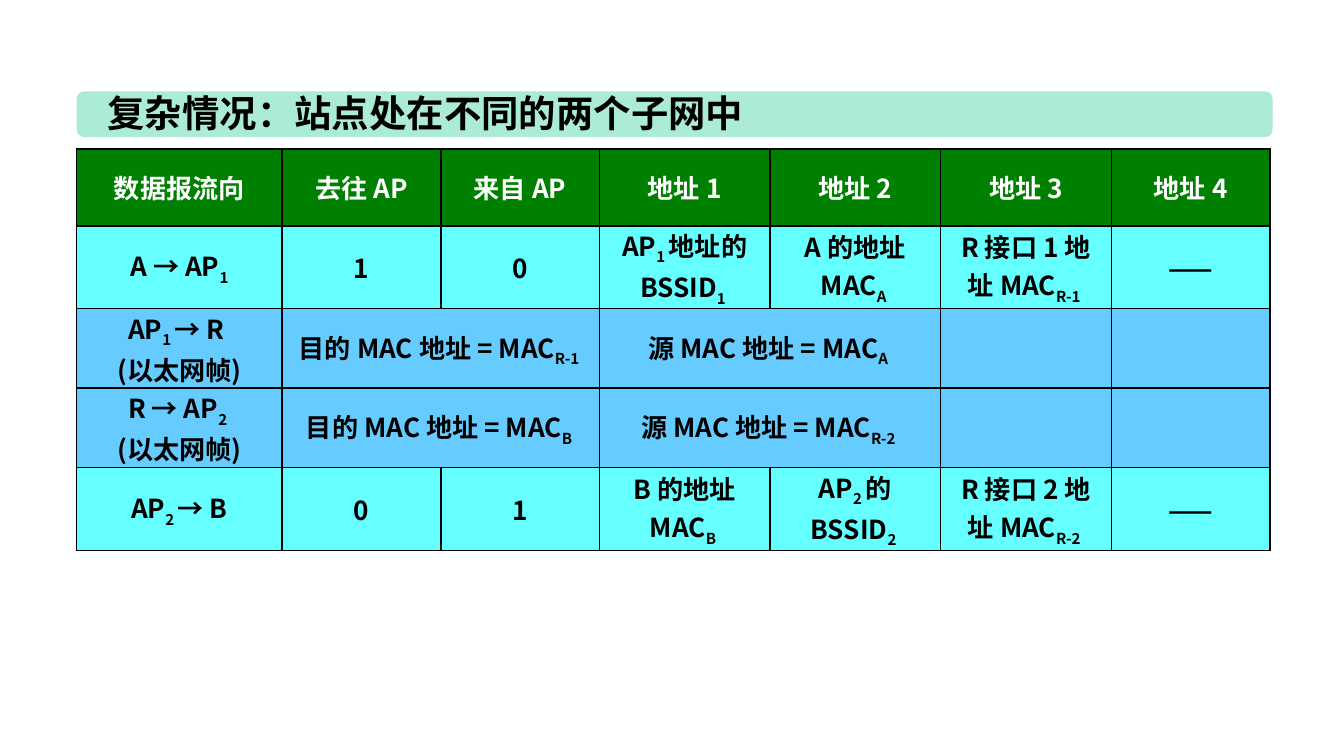
"""Build the slide on frame addresses between stations in two subnets."""
import lxml.etree
import pptx
import pptx.dml.color
import pptx.enum.shapes
import pptx.enum.text
import pptx.oxml.ns
import pptx.util

Inches = pptx.util.Inches
RGB = pptx.dml.color.RGBColor
FONT = "Noto Sans CJK SC"
BLACK = RGB(0x00, 0x00, 0x00)
WHITE = RGB(0xFF, 0xFF, 0xFF)
GREEN = RGB(0x00, 0x80, 0x00)
CYAN = RGB(0x66, 0xFF, 0xFF)
BLUE = RGB(0x66, 0xCC, 0xFF)
MINT = RGB(0xAB, 0xEB, 0xD7)

SLIDE_WIDTH = 10
SLIDE_HEIGHT = SLIDE_WIDTH * 9 / 16
COLUMN_WIDTHS = [1.53, 1.18, 1.18, 1.27, 1.27, 1.27, 1.18]
ROW_HEIGHT = 0.57
HEADINGS = ["数据报流向", "去往 AP", "来自 AP", "地址 1", "地址 2", "地址 3", "地址 4"]
HOPS = [
    (GREEN, WHITE, HEADINGS),
    (CYAN, BLACK, ["A → AP~1", "1", "0", "AP~1 ~地址的 BSSID~1 ", "A 的地址 MAC~A ",
                   "R 接口 1 地址 MAC~R-1 ", "——"]),
    (BLUE, BLACK, ["AP~1 ~→ R \n(以太网帧)", "目的 MAC 地址 = MAC~R-1 ", None,
                   "源 MAC 地址 = MAC~A ", None, "", ""]),
    (BLUE, BLACK, ["R → AP~2 \n(以太网帧)", "目的 MAC 地址 = MAC~B ", None,
                   "源 MAC 地址 = MAC~R-2 ", None, "", ""]),
    (CYAN, BLACK, ["AP~2 ~→ B", "0", "1", "B 的地址 MAC~B ", "AP~2 ~的BSSID~2 ",
                   "R 接口 2 地址 MAC~R-2 ", "——"]),
]


def add_xml(parent, tag, **attributes):
    return lxml.etree.SubElement(parent, pptx.oxml.ns.qn(tag), **attributes)


def write(frame, text, size=14, color=BLACK, align=pptx.enum.text.PP_ALIGN.CENTER):
    """Fill a text frame; tildes switch subscript on and off."""
    for index, line in enumerate(text.split("\n")):
        paragraph = frame.paragraphs[0] if index == 0 else frame.add_paragraph()
        paragraph.alignment = align
        for part, words in enumerate(line.split("~")):
            run = paragraph.add_run()
            run.text = words
            run.font.name = FONT
            run.font.size = pptx.util.Pt(size)
            run.font.bold = True
            run.font.color.rgb = color
            properties = run.font._element
            add_xml(properties, "a:ea", typeface=FONT)
            if part % 2:
                properties.set("baseline", "-25000")


class SubnetSlide:
    """Hold the current slide and draw its elements in one style."""

    def __init__(self, presentation):
        self.slide = presentation.slides.add_slide(presentation.slide_layouts[5])
        self.shapes = self.slide.shapes

    def band(self, left, top, width, height, fill):
        band = self.shapes.add_shape(
            pptx.enum.shapes.MSO_SHAPE.ROUNDED_RECTANGLE,
            Inches(left), Inches(top), Inches(width), Inches(height))
        band.shadow.inherit = False
        band.fill.solid()
        band.fill.fore_color.rgb = fill
        band.line.fill.background()

    def title(self, text, left, top, width, height):
        title = self.shapes.title
        title.left, title.top = Inches(left), Inches(top)
        title.width, title.height = Inches(width), Inches(height)
        frame = title.text_frame
        frame.word_wrap = False
        frame.auto_size = pptx.enum.text.MSO_AUTO_SIZE.SHAPE_TO_FIT_TEXT
        frame.vertical_anchor = pptx.enum.text.MSO_ANCHOR.TOP
        write(frame, text, size=20, align=pptx.enum.text.PP_ALIGN.LEFT)
        self.shapes.element.append(title.element)

    def cell(self, cell, text, fill, color):
        properties = cell._tc.get_or_add_tcPr()
        for side in ("a:lnL", "a:lnR", "a:lnT", "a:lnB"):
            border = add_xml(properties, side, w="12700")
            add_xml(add_xml(border, "a:solidFill"), "a:srgbClr", val=str(BLACK))
        cell.fill.solid()
        cell.fill.fore_color.rgb = fill
        cell.margin_left = cell.margin_right = Inches(0.07)
        cell.margin_top = cell.margin_bottom = 0
        cell.vertical_anchor = pptx.enum.text.MSO_ANCHOR.MIDDLE
        if text:
            write(cell.text_frame, text, color=color)

    def table(self, left, top, widths, row_height, rows):
        table = self.shapes.add_table(
            len(rows), len(widths), Inches(left), Inches(top),
            Inches(sum(widths)), Inches(row_height * len(rows))).table
        for column, width in zip(table.columns, widths):
            column.width = Inches(width)
        for row, (fill, color, texts) in enumerate(rows):
            table.rows[row].height = Inches(row_height)
            for column, text in enumerate(texts):
                cell = table.cell(row, column)
                self.cell(cell, text, fill, color)
                if text is None:
                    table.cell(row, column - 1).merge(cell)


def main():
    presentation = pptx.Presentation()
    presentation.slide_width = Inches(SLIDE_WIDTH)
    presentation.slide_height = Inches(SLIDE_HEIGHT)
    subnets = SubnetSlide(presentation)
    subnets.table(0.57, 1.11, COLUMN_WIDTHS, ROW_HEIGHT, HOPS)
    subnets.band(0.57, 0.68, 8.9, 0.34, MINT)
    subnets.title("复杂情况：站点处在不同的两个子网中", 0.7, 0.62, 4.97, 0.44)
    presentation.save("out.pptx")


if __name__ == "__main__":
    main()
